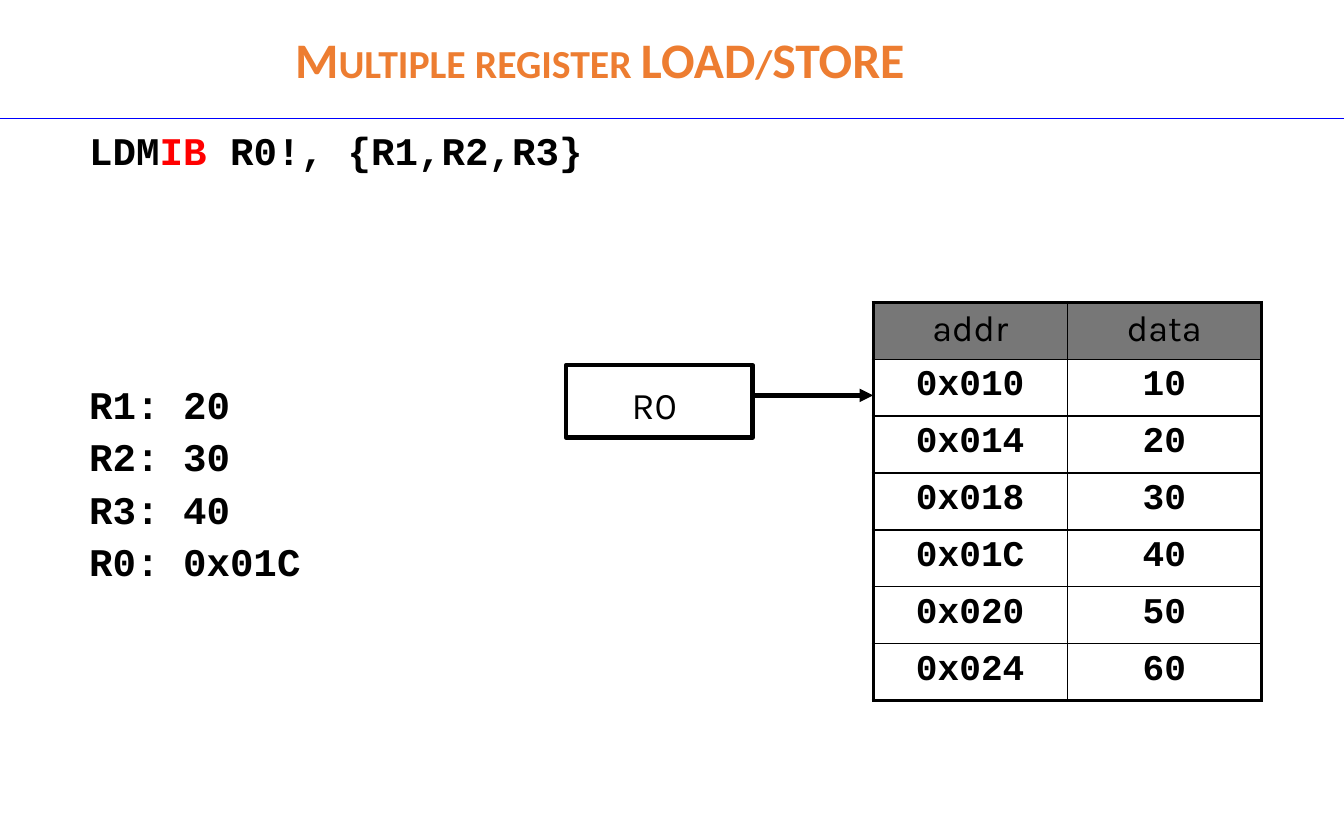
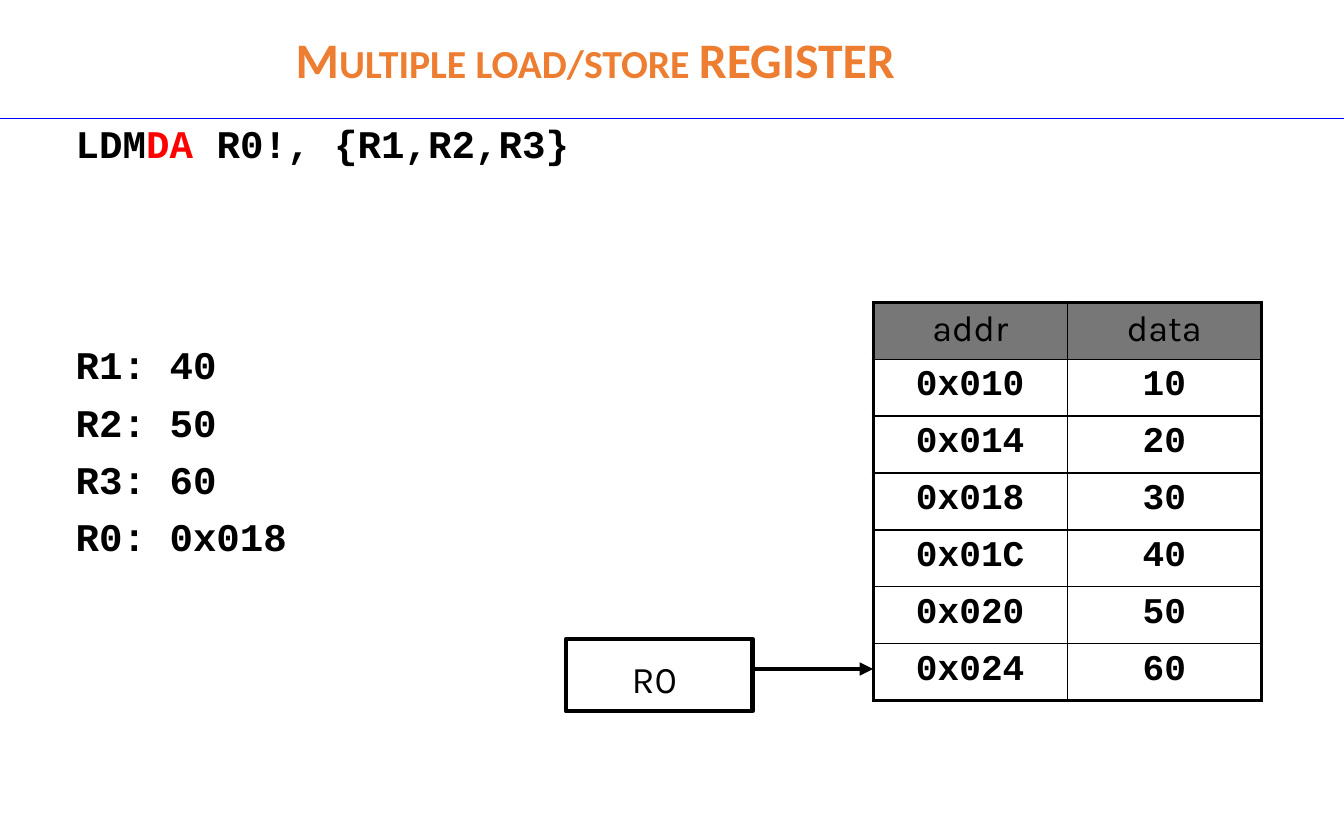
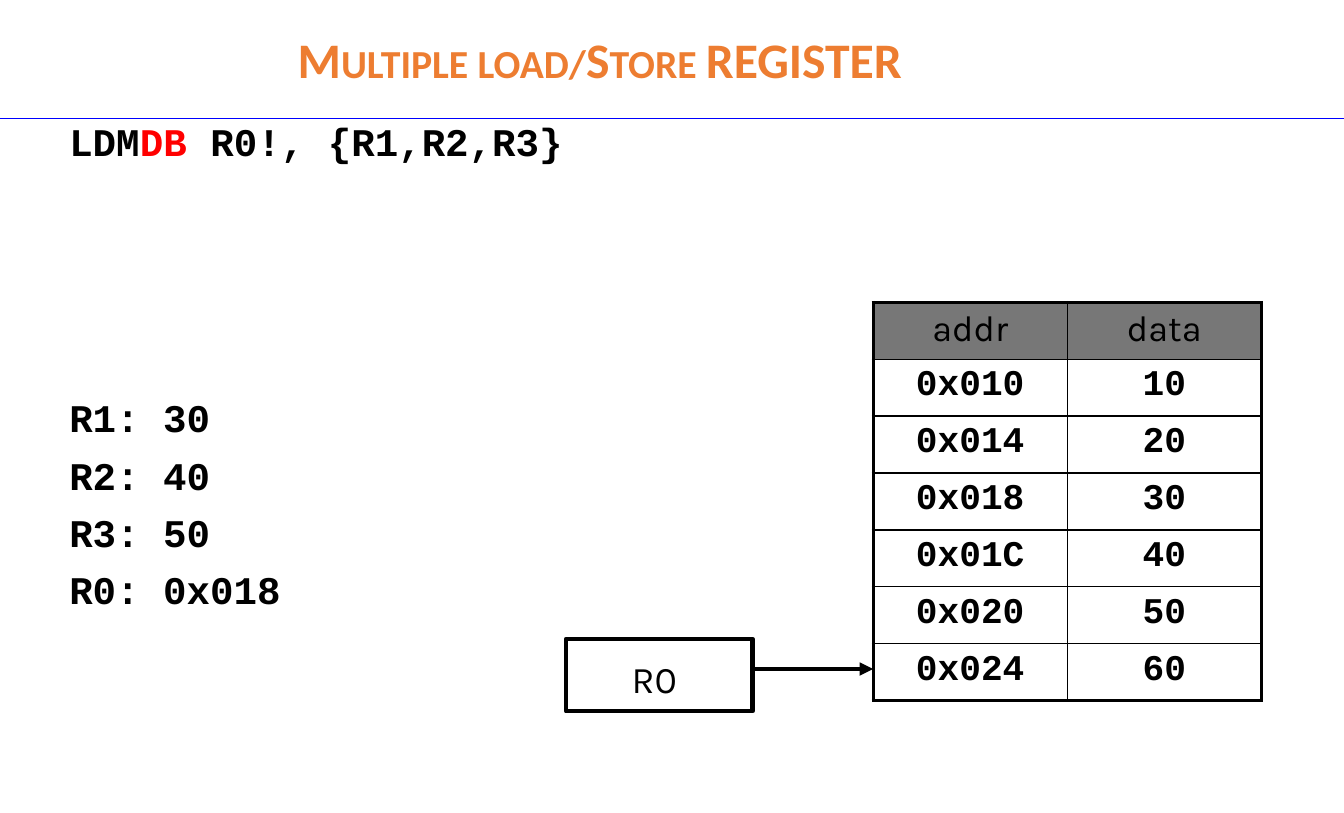
import pptx
import pptx.dml.color
import pptx.enum.shapes
import pptx.enum.text
import pptx.oxml
import pptx.oxml.ns
import pptx.util

Pt = pptx.util.Pt
qn = pptx.oxml.ns.qn

BLACK = "000000"
ORANGE = "ED7D31"
RED = "FF0000"
BLUE = "0000FF"
GRAY = "777777"
TITLE_FONT = "Calibri"
CODE_FONT = "Courier New"
LABEL_FONT = "Karla"

SLIDE_WIDTH, SLIDE_HEIGHT = 892.8, 540
TITLE_BOX = (-40, 15, 817, 48)
TITLE_INDENT = 60
RULE_TOP = 79
MEMORY_BOX = (580, 200.8, 258, 264.6)
POINTER_LEFT, POINTER_WIDTH, POINTER_HEIGHT = 376, 124, 48
CODE_SIZE = 26
CODE_LINE = 29.45
CODE_GAP = 6.85
THICK, THIN = 2.25, 1

MEMORY = [
    ("addr", "data"),
    ("0x010", "10"),
    ("0x014", "20"),
    ("0x018", "30"),
    ("0x01C", "40"),
    ("0x020", "50"),
    ("0x024", "60"),
]

SLIDES = [
    {
        "title": "Multiple register LOAD/STORE",
        "mode": "IB",
        "registers": ["R1: 20", "R2: 30", "R3: 40", "R0: 0x01C"],
        "code_box": (52, 84, 803.5, 408),
        "line_spacing": 0.9,
        "lines_skipped": 4,
        "pointer_top": 242.6,
    },
    {
        "title": "Multiple load/store REGISTER ",
        "mode": "DA",
        "registers": ["R1: 40", "R2: 50", "R3: 60", "R0: 0x018"],
        "code_box": (43, 75.8, 803.5, 423),
        "line_spacing": 1.0,
        "lines_skipped": 3,
        "pointer_top": 424.4,
    },
    {
        "title": "Multiple load/Store REGISTER",
        "mode": "DB",
        "registers": ["R1: 30", "R2: 40", "R3: 50", "R0: 0x018"],
        "code_box": (38.8, 74.6, 803.5, 423),
        "line_spacing": 1.0,
        "lines_skipped": 4,
        "pointer_top": 424.4,
    },
]


def color(hex_value):
    return pptx.dml.color.RGBColor.from_string(hex_value)


def set_font(font, name, size, hex_value, bold=False):
    font.name = name
    font.size = Pt(size)
    font.bold = bold
    font.color.rgb = color(hex_value)


def place(part, box):
    part.left, part.top, part.width, part.height = map(Pt, box)


def set_insets(frame, side, end):
    frame.margin_left = frame.margin_right = Pt(side)
    frame.margin_top = frame.margin_bottom = Pt(end)


def add_line(slide, start, end, hex_value, width, arrow=False):
    line = slide.shapes.add_connector(
        pptx.enum.shapes.MSO_CONNECTOR.STRAIGHT, *map(Pt, start + end)
    )
    line.line.color.rgb = color(hex_value)
    line.line.width = Pt(width)
    properties = line._element.spPr
    if arrow:
        head = pptx.oxml.parse_xml(
            f'<a:tailEnd {pptx.oxml.ns.nsdecls("a")} type="triangle"/>'
        )
        properties.find(qn("a:ln")).append(head)
    properties.append(
        pptx.oxml.parse_xml(f'<a:effectLst {pptx.oxml.ns.nsdecls("a")}/>')
    )


def add_heading(slide, text, box):
    title = slide.shapes.title
    place(title, box)
    frame = title.text_frame
    frame.auto_size = pptx.enum.text.MSO_AUTO_SIZE.NONE
    frame.vertical_anchor = pptx.enum.text.MSO_ANCHOR.MIDDLE
    set_insets(frame, 7.2, 3.6)
    heading = frame.paragraphs[0]
    heading.alignment = pptx.enum.text.PP_ALIGN.CENTER
    heading._p.get_or_add_pPr().set("marL", str(Pt(TITLE_INDENT)))
    words = heading.add_run()
    words.text = text
    set_font(heading.font, TITLE_FONT, 33, ORANGE, True)
    words.font._element.set("cap", "small")
    add_line(slide, (0, RULE_TOP), (SLIDE_WIDTH, RULE_TOP), BLUE, 0.75)


def add_code(slide, mode, registers, box, line_spacing, lines_skipped):
    body = slide.placeholders[1]
    place(body, box)
    frame = body.text_frame
    frame.auto_size = pptx.enum.text.MSO_AUTO_SIZE.NONE
    set_insets(frame, 7.2, 3.6)
    pitch = CODE_LINE * line_spacing + CODE_GAP
    command = [("LDM", None), (mode, RED), (" R0!, {R1,R2,R3}", None)]
    lines = [command] + [[(register, None)] for register in registers]
    spaces = [0, lines_skipped * pitch + CODE_GAP]
    spaces += [CODE_GAP] * (len(registers) - 1)
    for index, (parts, space) in enumerate(zip(lines, spaces)):
        line = frame.add_paragraph() if index else frame.paragraphs[0]
        line._p.get_or_add_pPr().append(
            pptx.oxml.parse_xml(f'<a:buNone {pptx.oxml.ns.nsdecls("a")}/>')
        )
        line.line_spacing = line_spacing
        line.space_before = Pt(round(space, 2))
        set_font(line.font, CODE_FONT, CODE_SIZE, BLACK, True)
        for text, accent in parts:
            run = line.add_run()
            run.text = text
            if accent:
                run.font.color.rgb = color(accent)


def set_borders(cell, widths):
    properties = cell._tc.get_or_add_tcPr()
    for position, (side, width) in enumerate(widths.items()):
        border = pptx.oxml.parse_xml(
            f'<a:ln{side} {pptx.oxml.ns.nsdecls("a")} w="{Pt(width)}">'
            f'<a:solidFill><a:srgbClr val="{BLACK}"/></a:solidFill></a:ln{side}>'
        )
        properties.insert(position, border)


def add_memory(slide, rows, box):
    row_count, column_count = len(rows), len(rows[0])
    table = slide.shapes.add_table(row_count, column_count, *map(Pt, box)).table
    table.first_row = table.horz_banding = False
    for column in table.columns:
        column.width = Pt(box[2] / column_count)
    for row in table.rows:
        row.height = Pt(box[3] / row_count)
    for row_index, values in enumerate(rows):
        for column_index, value in enumerate(values):
            cell = table.cell(row_index, column_index)
            is_header = row_index == 0
            set_insets(cell, 10.8, 4.3)
            if is_header:
                cell.fill.solid()
                cell.fill.fore_color.rgb = color(GRAY)
            else:
                cell.fill.background()
            set_borders(cell, {
                "L": THICK if column_index == 0 else THIN,
                "R": THICK if column_index == column_count - 1 else THIN,
                "T": THICK if is_header else THIN,
                "B": THICK if row_index == row_count - 1 else THIN,
            })
            cell.text = value
            entry = cell.text_frame.paragraphs[0]
            entry.alignment = pptx.enum.text.PP_ALIGN.CENTER
            font_name = LABEL_FONT if is_header else CODE_FONT
            set_font(entry.font, font_name, 24, BLACK, not is_header)


def add_pointer(slide, box, target_left):
    left, top, width, height = box
    register = slide.shapes.add_shape(
        pptx.enum.shapes.MSO_SHAPE.RECTANGLE, *map(Pt, box)
    )
    register.shadow.inherit = False
    register.fill.background()
    register.line.color.rgb = color(BLACK)
    register.line.width = Pt(3)
    label = slide.shapes.add_textbox(*map(Pt, (left + 35, top + 7, 59, 39.6)))
    frame = label.text_frame
    frame.word_wrap = True
    set_insets(frame, 8.6, 4.3)
    name = frame.paragraphs[0]
    name.text = "R0"
    set_font(name.font, LABEL_FONT, 25, BLACK)
    arrow_top = top + 20
    add_line(slide, (left + width, arrow_top), (target_left, arrow_top), BLACK, 3, True)


def add_example(deck, example):
    slide = deck.slides.add_slide(deck.slide_layouts[1])
    add_heading(slide, example["title"], TITLE_BOX)
    add_code(
        slide,
        example["mode"],
        example["registers"],
        example["code_box"],
        example["line_spacing"],
        example["lines_skipped"],
    )
    add_memory(slide, MEMORY, MEMORY_BOX)
    pointer_box = (POINTER_LEFT, example["pointer_top"], POINTER_WIDTH, POINTER_HEIGHT)
    add_pointer(slide, pointer_box, MEMORY_BOX[0])


def main():
    deck = pptx.Presentation()
    deck.slide_width, deck.slide_height = Pt(SLIDE_WIDTH), Pt(SLIDE_HEIGHT)
    for example in SLIDES:
        add_example(deck, example)
    deck.save("out.pptx")


if __name__ == "__main__":
    main()
